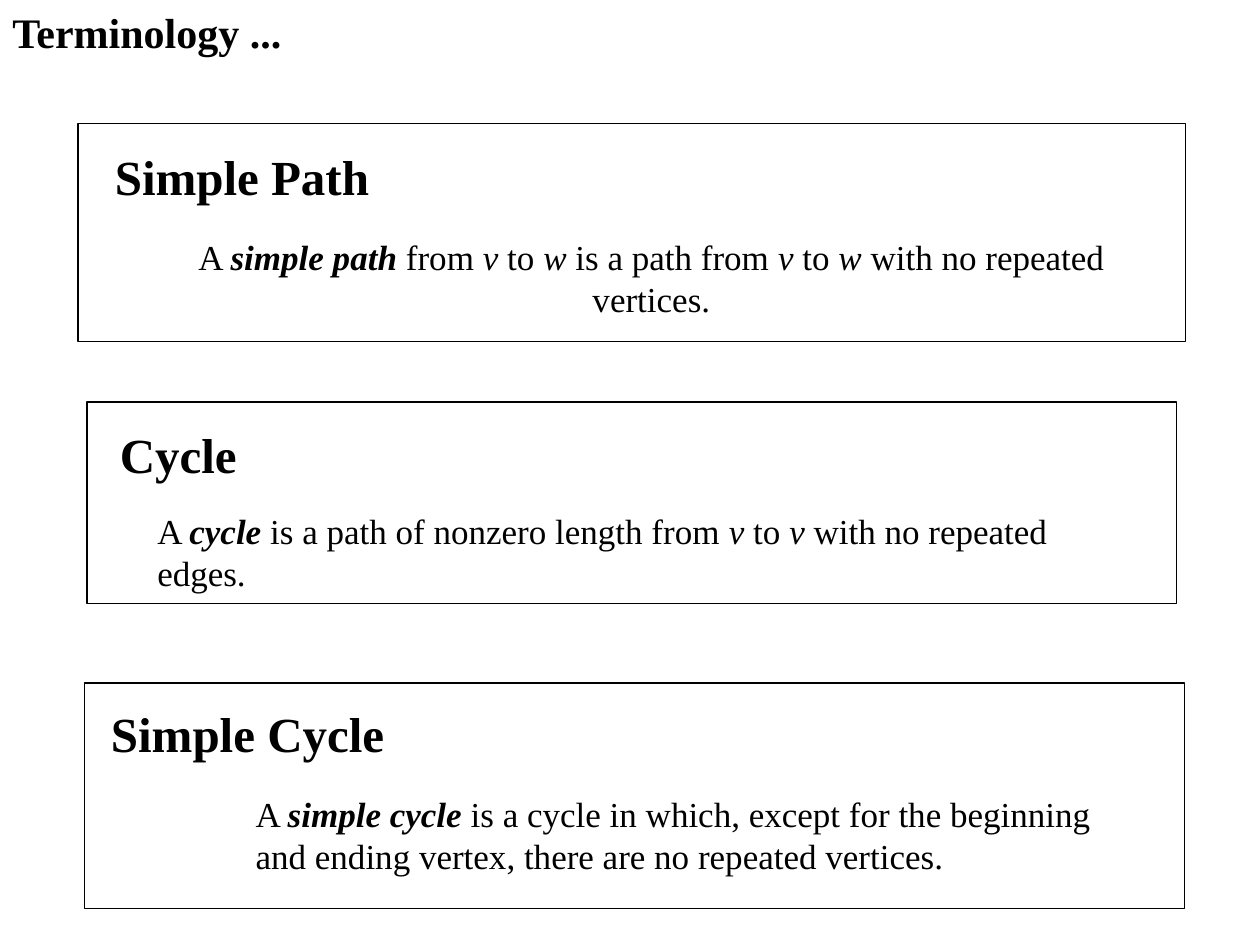
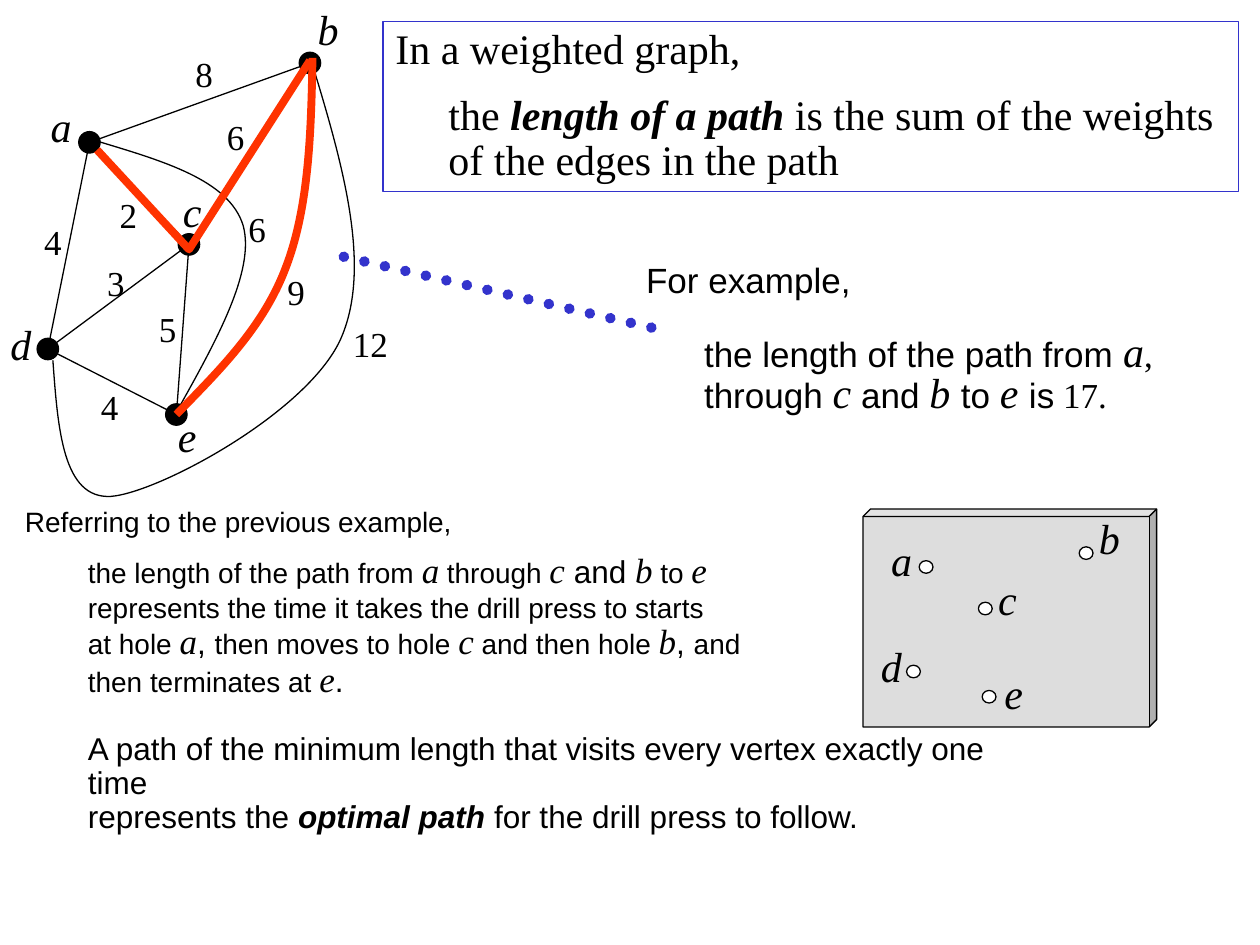
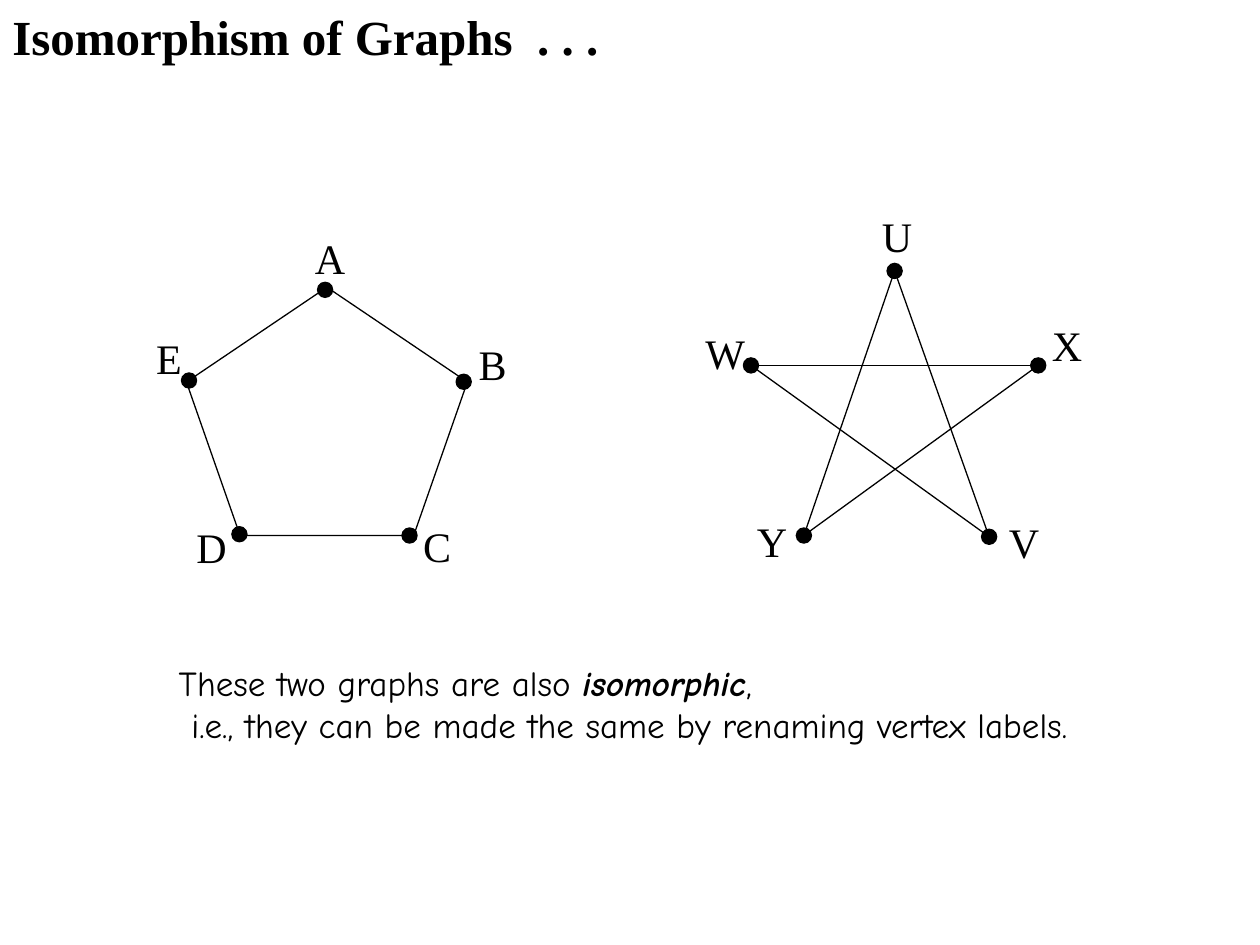
from typing import NamedTuple, Optional

from lxml.etree import SubElement
from pptx import Presentation
from pptx.dml.color import RGBColor
from pptx.enum.dml import MSO_LINE
from pptx.enum.shapes import MSO_CONNECTOR, MSO_SHAPE
from pptx.enum.text import MSO_ANCHOR, MSO_AUTO_SIZE, PP_ALIGN
from pptx.oxml.ns import qn
from pptx.util import Inches, Pt

BLACK, WHITE, BLUE, RED, GREY = "000000", "FFFFFF", "3333CC", "FF3300", "DDDDDD"
SERIF, SANS, HAND = "Times New Roman", "Arial", "Comic Neue"
TOP, MIDDLE = MSO_ANCHOR.TOP, MSO_ANCHOR.MIDDLE
LEFT, CENTER = PP_ALIGN.LEFT, PP_ALIGN.CENTER


class Box(NamedTuple):
    x: float
    y: float
    w: float
    h: float


class Span(NamedTuple):
    text: str
    bold: Optional[bool] = None
    italic: Optional[bool] = None
    size: Optional[float] = None
    font: Optional[str] = None


class Para(NamedTuple):
    spans: list
    size: float = 20
    font: str = SERIF
    bold: bool = False
    italic: bool = False
    align: PP_ALIGN = LEFT
    indent: float = 0
    spacing: Optional[float] = None
    before: float = 0


class Vertex(NamedTuple):
    x: float
    y: float
    label: Box


class Definition(NamedTuple):
    frame: Box
    term: str
    term_box: Box
    body: list
    body_box: Box
    wrap: bool


def color(value: str) -> RGBColor:
    return RGBColor.from_string(value)


def em(text: str) -> Span:
    return Span(text, bold=True, italic=True)


def it(text: str, size: Optional[float] = None) -> Span:
    return Span(text, italic=True, size=size, font=SERIF)


def place(box: Box) -> tuple:
    return tuple(Inches(v) for v in box)


def fill_text(tf, paras: list) -> None:
    for i, para in enumerate(paras):
        p = tf.paragraphs[0] if i == 0 else tf.add_paragraph()
        p.alignment = para.align
        if para.indent:
            p._p.get_or_add_pPr().set("marL", str(Inches(para.indent)))
        if para.spacing:
            p.line_spacing = para.spacing
        if para.before:
            p.space_before = Pt(para.before)
        p.font.size, p.font.name = Pt(para.size), para.font
        p.font.bold, p.font.italic = para.bold, para.italic
        p.font.color.rgb = color(BLACK)
        for span in para.spans:
            span = Span(span) if isinstance(span, str) else span
            r = p.add_run()
            r.text = span.text
            if span.bold:
                r.font.bold = True
            if span.italic:
                r.font.italic = True
            if span.size:
                r.font.size = Pt(span.size)
            if span.font:
                r.font.name = span.font


def add_text(shapes, box: Box, paras: list, anchor=MIDDLE, wrap: bool = False) -> None:
    tf = shapes.add_textbox(*place(box)).text_frame
    tf.word_wrap = wrap
    tf.auto_size = MSO_AUTO_SIZE.NONE if wrap else MSO_AUTO_SIZE.SHAPE_TO_FIT_TEXT
    tf.vertical_anchor = anchor
    fill_text(tf, paras)


def style(sp, fill: Optional[str], line: str = BLACK, width: float = 0.75) -> None:
    sp.shadow.inherit = False
    if fill:
        sp.fill.solid()
        sp.fill.fore_color.rgb = color(fill)
    else:
        sp.fill.background()
    sp.line.color.rgb = color(line)
    sp.line.width = Pt(width)


def add_shape(shapes, kind, box: Box, fill: Optional[str] = None, line: str = BLACK):
    sp = shapes.add_shape(kind, *place(box))
    style(sp, fill, line)
    return sp


def add_dot(shapes, x: float, y: float, w: float, h: float, fill: str = BLACK) -> None:
    add_shape(shapes, MSO_SHAPE.OVAL, Box(x - w / 2, y - h / 2, w, h), fill)


def add_line(shapes, start: tuple, end: tuple, line: str = BLACK, width: float = 0.75):
    cxn = shapes.add_connector(MSO_CONNECTOR.STRAIGHT, *(Inches(v) for v in (*start, *end)))
    cxn.line.color.rgb = color(line)
    cxn.line.width = Pt(width)
    SubElement(cxn._element.spPr, qn("a:effectLst"))
    return cxn


def add_edges(shapes, vertices: dict, edges: str) -> None:
    """Draw a line for each pair of vertex names, as in "ab bc"."""
    for start, end in edges.split():
        add_line(shapes, vertices[start][:2], vertices[end][:2])


def add_polyline(shapes, points: list, line: str = BLACK, width: float = 0.75):
    pts = [(Inches(x), Inches(y)) for x, y in points]
    builder = shapes.build_freeform(*pts[0])
    builder.add_line_segments(pts[1:], close=False)
    sp = builder.convert_to_shape()
    style(sp, None, line, width)
    return sp


def add_curve(shapes, points: list, line: str = BLACK, width: float = 0.75) -> None:
    """Draw cubic Béziers: a start, then two controls and an end for each piece."""
    sp = add_polyline(shapes, points, line, width)
    steps = list(sp._element.iter(qn("a:lnTo")))
    outline = steps[0].getparent()
    for i in range(0, len(steps), 3):
        bezier = SubElement(outline, qn("a:cubicBezTo"))
        for step in steps[i:i + 3]:
            bezier.append(step[0])
            outline.remove(step)


def add_title(shapes, text: str, size: float, box: Box) -> None:
    add_text(shapes, box, [Para([text], size, bold=True)])


def add_name(shapes, box: Box, text: str, size: float = 24, italic: bool = True) -> None:
    add_text(shapes, box, [Para([text], size, italic=italic, align=CENTER)])


DEFINITIONS = [
    Definition(
        Box(0.62, 0.98, 8.79, 1.73), "Simple Path", Box(0.81, 1.11, 2.22, 0.57),
        [Para(["A ", em("simple path"), " from ", it("v"), " to ", it("w"),
               " is a path from ", it("v"), " to ", it("w"),
               " with no repeated vertices."], align=CENTER)],
        Box(0.99, 1.99, 8.36, 0.43), True),
    Definition(
        Box(0.69, 3.19, 8.65, 1.6), "Cycle", Box(0.85, 3.32, 1.13, 0.57),
        [Para(["A ", em("cycle"), " is a path of nonzero length from ", it("v"),
               " to ", it("v"), " with no repeated edges."])],
        Box(1.15, 4.16, 8, 0.43), True),
    Definition(
        Box(0.67, 5.42, 8.73, 1.79), "Simple Cycle", Box(0.78, 5.53, 2.37, 0.57),
        [Para(["A ", em("simple cycle"),
               " is a cycle in which, except for the beginning"]),
         Para(["and ending vertex, there are no repeated vertices."])],
        Box(1.93, 6.24, 6.89, 0.77), False),
]

WEIGHTED = {
    "a": Vertex(0.71, 1.13, Box(0.3, 0.75, 0.37, 0.5)),
    "b": Vertex(2.46, 0.5, Box(2.42, -0.02, 0.37, 0.5)),
    "c": Vertex(1.5, 1.94, Box(1.35, 1.42, 0.35, 0.5)),
    "d": Vertex(0.38, 2.77, Box(-0.02, 2.48, 0.37, 0.5)),
    "e": Vertex(1.4, 3.29, Box(1.31, 3.21, 0.35, 0.5)),
}
WEIGHTS = [
    ("2", 0.85, 1.49), ("4", 0.25, 1.7), ("4", 0.7, 3.01), ("3", 0.75, 2.03),
    ("5", 1.16, 2.39), ("6", 1.87, 1.6), ("6", 1.7, 0.87), ("8", 1.45, 0.37),
    ("12", 2.7, 2.51), ("9", 2.18, 2.1),
]
HOLES = {
    "a": Vertex(7.35, 4.5, Box(6.96, 4.19, 0.39, 0.5)),
    "b": Vertex(8.62, 4.39, Box(8.62, 4.02, 0.37, 0.5)),
    "c": Vertex(7.82, 4.83, Box(7.82, 4.5, 0.35, 0.5)),
    "d": Vertex(7.25, 5.33, Box(6.89, 5.03, 0.37, 0.5)),
    "e": Vertex(7.85, 5.53, Box(7.87, 5.25, 0.35, 0.5)),
}
PENTAGON = {
    "A": Vertex(2.58, 2.3, Box(2.4, 1.8, 0.44, 0.5)),
    "B": Vertex(3.68, 3.03, Box(3.7, 2.64, 0.42, 0.5)),
    "C": Vertex(3.25, 4.25, Box(3.26, 4.08, 0.42, 0.5)),
    "D": Vertex(1.9, 4.24, Box(1.46, 4.09, 0.44, 0.5)),
    "E": Vertex(1.5, 3.02, Box(1.14, 2.59, 0.4, 0.5)),
}
STAR = {
    "U": Vertex(7.1, 2.15, Box(6.9, 1.62, 0.44, 0.5)),
    "V": Vertex(7.85, 4.26, Box(7.91, 4.05, 0.44, 0.5)),
    "W": Vertex(5.96, 2.9, Box(5.5, 2.55, 0.52, 0.5)),
    "X": Vertex(8.24, 2.9, Box(8.25, 2.49, 0.44, 0.5)),
    "Y": Vertex(6.38, 4.25, Box(5.91, 4.04, 0.44, 0.5)),
}


def terminology_slide(shapes) -> None:
    add_title(shapes, "Terminology ...", 24, Box(0, 0, 2.37, 0.5))
    for d in DEFINITIONS:
        add_shape(shapes, MSO_SHAPE.RECTANGLE, d.frame)
        add_text(shapes, d.term_box, [Para([d.term], 28, bold=True, align=CENTER)])
        add_text(shapes, d.body_box, d.body, wrap=d.wrap)


def add_weighted_graph(shapes) -> None:
    for v in WEIGHTED.values():
        add_dot(shapes, v.x, v.y, 0.17, 0.17)
    add_edges(shapes, WEIGHTED, "ab dc cb ce de ad ac")
    add_curve(shapes, [(0.77, 1.12), (1.3, 1.28), (1.82, 1.43), (1.93, 1.79),
                       (2.03, 2.15), (1.71, 2.72), (1.39, 3.29)])
    add_curve(shapes, [(0.42, 2.86), (0.46, 3.41), (0.5, 3.96), (0.88, 3.94),
                       (1.26, 3.91), (2.43, 3.28), (2.7, 2.7),
                       (2.96, 2.13), (2.72, 1.3), (2.47, 0.48)])
    add_curve(shapes, [(1.4, 3.29), (1.74, 2.94), (2.09, 2.6), (2.27, 2.12),
                       (2.45, 1.65), (2.47, 1.06), (2.48, 0.46)], RED, 4.5)
    for name, v in WEIGHTED.items():
        add_name(shapes, v.label, name)
    for weight, x, y in WEIGHTS:
        add_name(shapes, Box(x, y, 0.2 + 0.14 * len(weight), 0.43), weight, 20, False)
    add_polyline(shapes, [(0.77, 1.19), (1.5, 1.98), (2.46, 0.48)], RED, 4.5)


def add_drill_board(shapes) -> None:
    board = add_shape(shapes, MSO_SHAPE.CUBE, Box(6.85, 4.04, 2.33, 1.73), GREY)
    board.adjustments[0] = 0.034
    for name, hole in HOLES.items():
        add_name(shapes, hole.label, name)
        add_dot(shapes, hole.x, hole.y, 0.11, 0.1, WHITE)


def path_length_slide(shapes) -> None:
    rule = add_shape(shapes, MSO_SHAPE.RECTANGLE, Box(3.04, 0.17, 6.79, 1.35), line=BLUE)
    tf = rule.text_frame
    tf.word_wrap = True
    tf.vertical_anchor = MIDDLE
    fill_text(tf, [
        Para(["In a weighted graph,"], 24, spacing=0.9),
        Para(["the ", em("length of a path"), " is the sum of the weights"],
             24, indent=0.42, spacing=1.3),
        Para(["of the edges in the path"], 24, indent=0.42, spacing=0.9),
    ])
    add_text(shapes, Box(5.03, 2, 4.27, 1.4), [
        Para(["For example,"], font=SANS),
        Para(["the length of the path from ", it("a", 24), Span(",", font=SERIF)],
             font=SANS, indent=0.46, spacing=1.5),
        Para(["through ", it("c", 24), " and ", it("b ", 24), "to ", it("e ", 24),
              "is", Span(" 17.", font=SERIF)], font=SANS, indent=0.46, spacing=0.8),
    ], TOP)
    pointer = add_line(shapes, (5.17, 2.6), (2.65, 2.02), BLUE, 6)
    pointer.line.dash_style = MSO_LINE.ROUND_DOT
    pointer.line._ln.set("cap", "rnd")
    add_weighted_graph(shapes.add_group_shape().shapes)

    a, b, c, e = (it(name, 20) for name in "abce")
    comma = Span(", ", size=18)
    add_text(shapes, Box(0.1, 4.08, 7.94, 2.47), [
        Para(["Referring to the previous example,"], 16, SANS),
        Para(["the length of the path from ", a, " through ", c, Span(" and ", size=18),
              b, " to ", e], 16, SANS, indent=0.5, before=6),
        Para(["represents the time it takes the drill press to starts"],
             16, SANS, indent=0.5),
        Para(["at hole ", a, comma, "then moves to hole ", c, " and then hole ", b,
              comma, "and"], 16, SANS, indent=0.5, spacing=0.9),
        Para(["then terminates at ", e, Span(".", size=18)],
             16, SANS, indent=0.5, spacing=0.9),
        Para(["A path of the minimum length that visits every vertex exactly one time"],
             18, SANS, indent=0.5, spacing=0.9, before=19),
        Para(["represents the ", em("optimal path"), " for the drill press to follow."],
             18, SANS, indent=0.5, spacing=0.9),
    ], wrap=True)
    add_drill_board(shapes.add_group_shape().shapes)


def isomorphism_slide(shapes) -> None:
    for graph in (PENTAGON, STAR):
        for name, v in graph.items():
            add_dot(shapes, v.x, v.y, 0.12, 0.12)
            add_text(shapes, v.label, [Para([name], 24)], TOP)
    add_shape(shapes, MSO_SHAPE.REGULAR_PENTAGON, Box(1.48, 2.28, 2.23, 1.97))
    add_edges(shapes, STAR, "UV UY WX WV XY")
    add_text(shapes, Box(1.32, 5.2, 7.82, 0.77), [
        Para(["These two graphs are also ", em("isomorphic"), ","], font=HAND),
        Para(["i.e., they can be made the same by renaming vertex labels."],
             font=HAND, indent=0.1),
    ], TOP)
    add_title(shapes, "Isomorphism of Graphs  . . .", 28, Box(0, 0, 4.86, 0.57))


def main() -> None:
    prs = Presentation()
    prs.slide_width, prs.slide_height = Inches(10), Inches(7.5)
    for draw in (terminology_slide, path_length_slide, isomorphism_slide):
        draw(prs.slides.add_slide(prs.slide_layouts[6]).shapes)
    prs.save("out.pptx")


if __name__ == "__main__":
    main()
